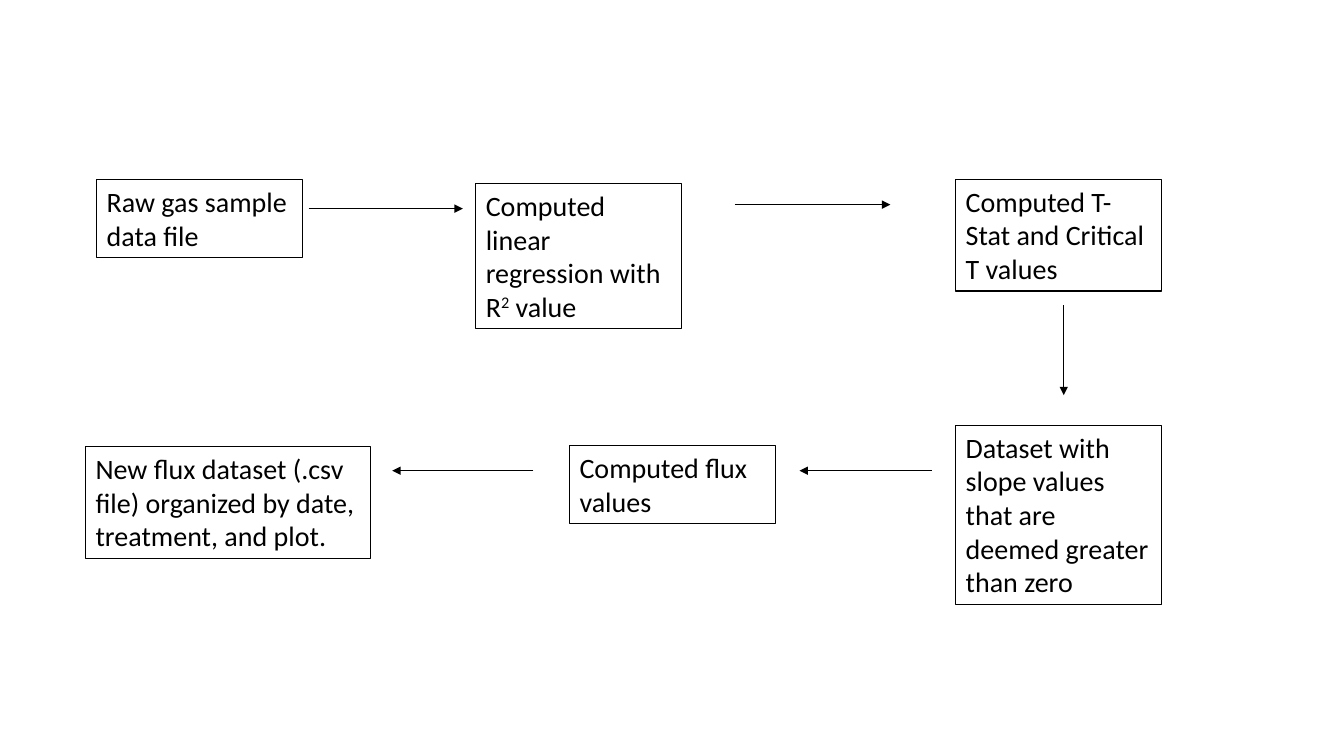
"""Build a slide with a flowchart of gas flux data processing."""
from dataclasses import dataclass

from lxml.etree import SubElement
from pptx import Presentation
from pptx.dml.color import RGBColor
from pptx.enum.shapes import MSO_CONNECTOR as Connector
from pptx.enum.text import MSO_AUTO_SIZE as AutoSize
from pptx.oxml.ns import qn
from pptx.util import Inches, Pt


@dataclass(frozen=True)
class Theme:
    """Colours, type and line sizes of the slide."""
    ink: RGBColor = RGBColor(0, 0, 0)
    font: str = "Calibri"
    text_size: float = 20
    border: float = 0.75
    arrow: float = 0.5


THEME = Theme()
SLIDE_WIDTH, SLIDE_HEIGHT = 13.33, 7.5
BOX_WIDTH = 2.04
WIDE_BOX = 2.83
LINE_HEIGHT, BOX_PADDING = 0.336, 0.1
LAST_COLUMN = 9.48
TOP_ROW = 1.78
LOWER_ARROWS = 4.67
DOWN_ARROW = 10.55

STEPS = [
    ("Raw gas sample data file", 0.96, TOP_ROW, BOX_WIDTH, 2),
    ("Computed linear regression with R^2^ value", 4.72, 1.82, BOX_WIDTH, 4),
    ("Computed T-Stat and Critical T values", LAST_COLUMN, TOP_ROW, BOX_WIDTH, 3),
    ("Dataset with slope values that are deemed greater than zero",
     LAST_COLUMN, 4.22, BOX_WIDTH, 5),
    ("Computed flux values", 5.65, 4.42, BOX_WIDTH, 2),
    ("New flux dataset (.csv file) organized by date, treatment, and plot.",
     0.85, 4.43, WIDE_BOX, 3),
]

ARROWS = [
    (3.06, 2.07, 4.59, 2.07),
    (7.29, 2.03, 8.83, 2.03),
    (DOWN_ARROW, 3.03, DOWN_ARROW, 3.92),
    (9.24, LOWER_ARROWS, 7.93, LOWER_ARROWS),
    (5.29, LOWER_ARROWS, 3.89, LOWER_ARROWS),
]


def write_text(para, text):
    """Write text in which carets enclose superscripts."""
    para.font.name = THEME.font
    para.font.size = Pt(THEME.text_size)
    para.font.color.rgb = THEME.ink
    for index, part in enumerate(text.split("^")):
        span = para.add_run()
        span.text = part
        if index % 2:
            span.font._element.set("baseline", "30000")


def add_step(page, text, left, top, width, lines):
    """Add an outlined box as tall as its lines of text."""
    height = BOX_PADDING + lines * LINE_HEIGHT
    box = page.shapes.add_textbox(*map(Inches, (left, top, width, height)))
    box.line.color.rgb = THEME.ink
    box.line.width = Pt(THEME.border)
    frame = box.text_frame
    frame.word_wrap = True
    frame.auto_size = AutoSize.SHAPE_TO_FIT_TEXT
    write_text(frame.paragraphs[0], text)


def add_arrow(page, *ends):
    """Add a thin line with a triangle at its far end."""
    arrow = page.shapes.add_connector(Connector.STRAIGHT, *map(Inches, ends))
    arrow.line.color.rgb = THEME.ink
    arrow.line.width = Pt(THEME.arrow)
    properties = arrow._element.spPr
    SubElement(properties.find(qn("a:ln")), qn("a:tailEnd"), type="triangle")
    SubElement(properties, qn("a:effectLst"))


def main():
    """Create the slide and save it."""
    deck = Presentation()
    deck.slide_width = Inches(SLIDE_WIDTH)
    deck.slide_height = Inches(SLIDE_HEIGHT)
    page = deck.slides.add_slide(deck.slide_layouts.get_by_name("Blank"))
    for step in STEPS:
        add_step(page, *step)
    for ends in ARROWS:
        add_arrow(page, *ends)
    deck.save("out.pptx")


main()
